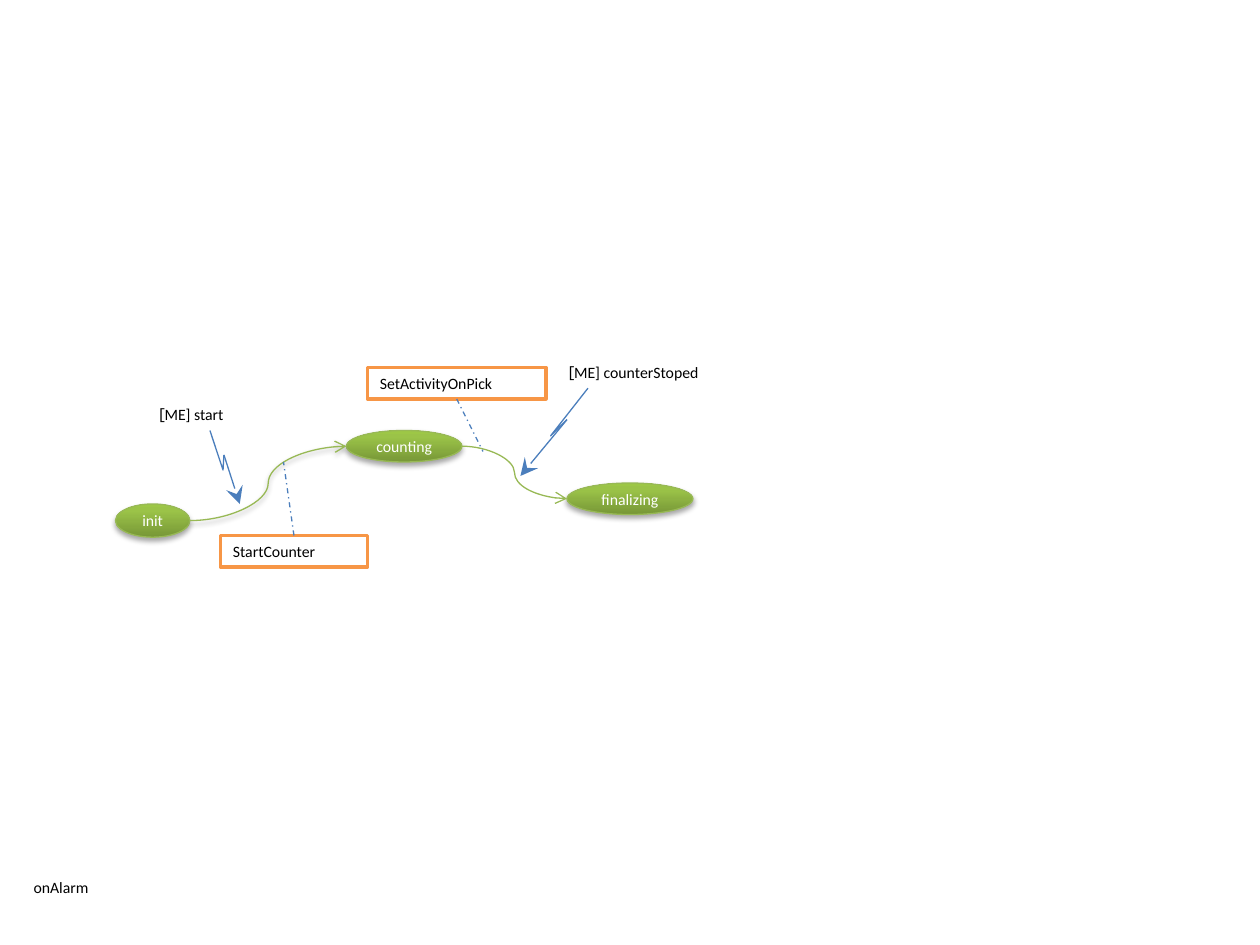
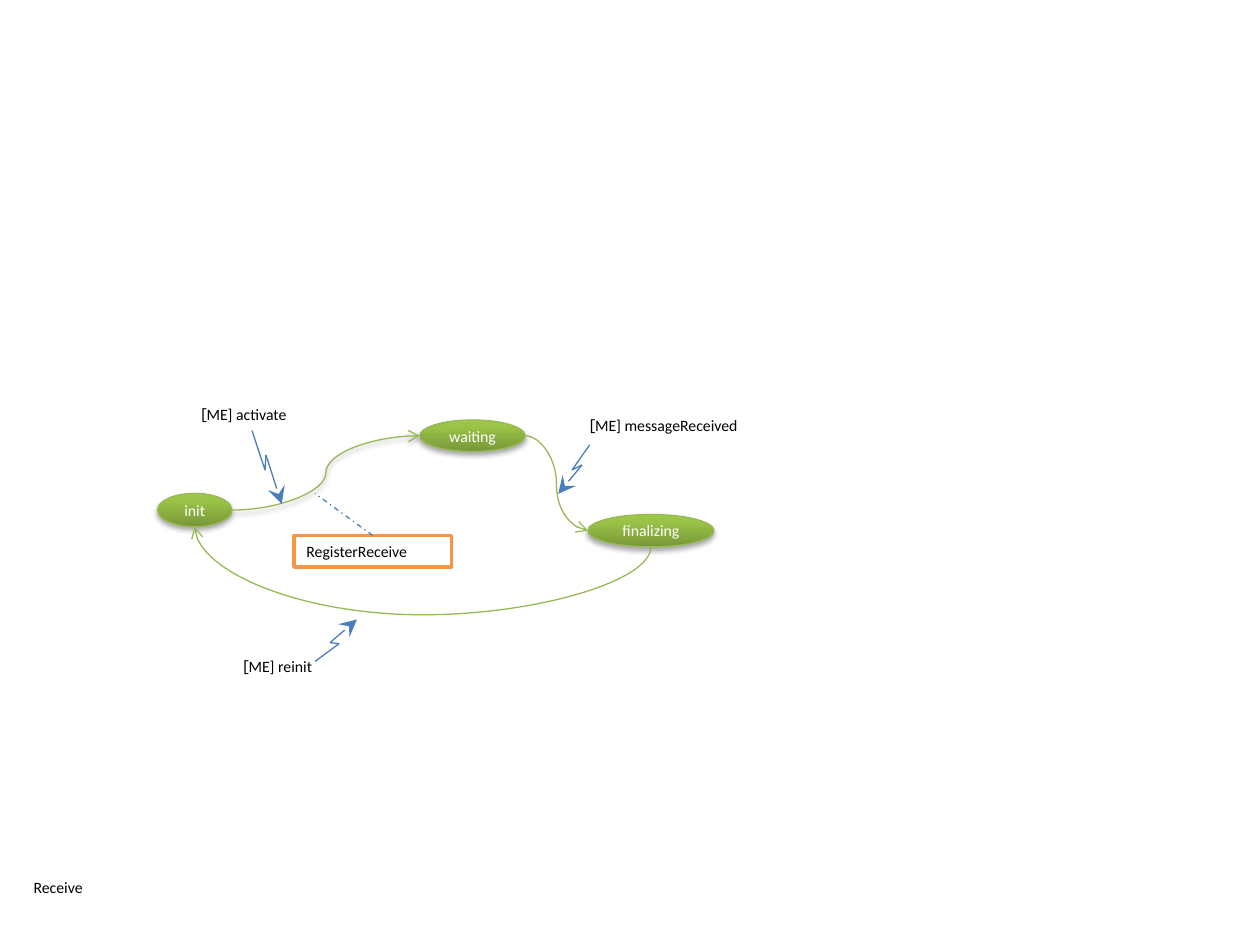
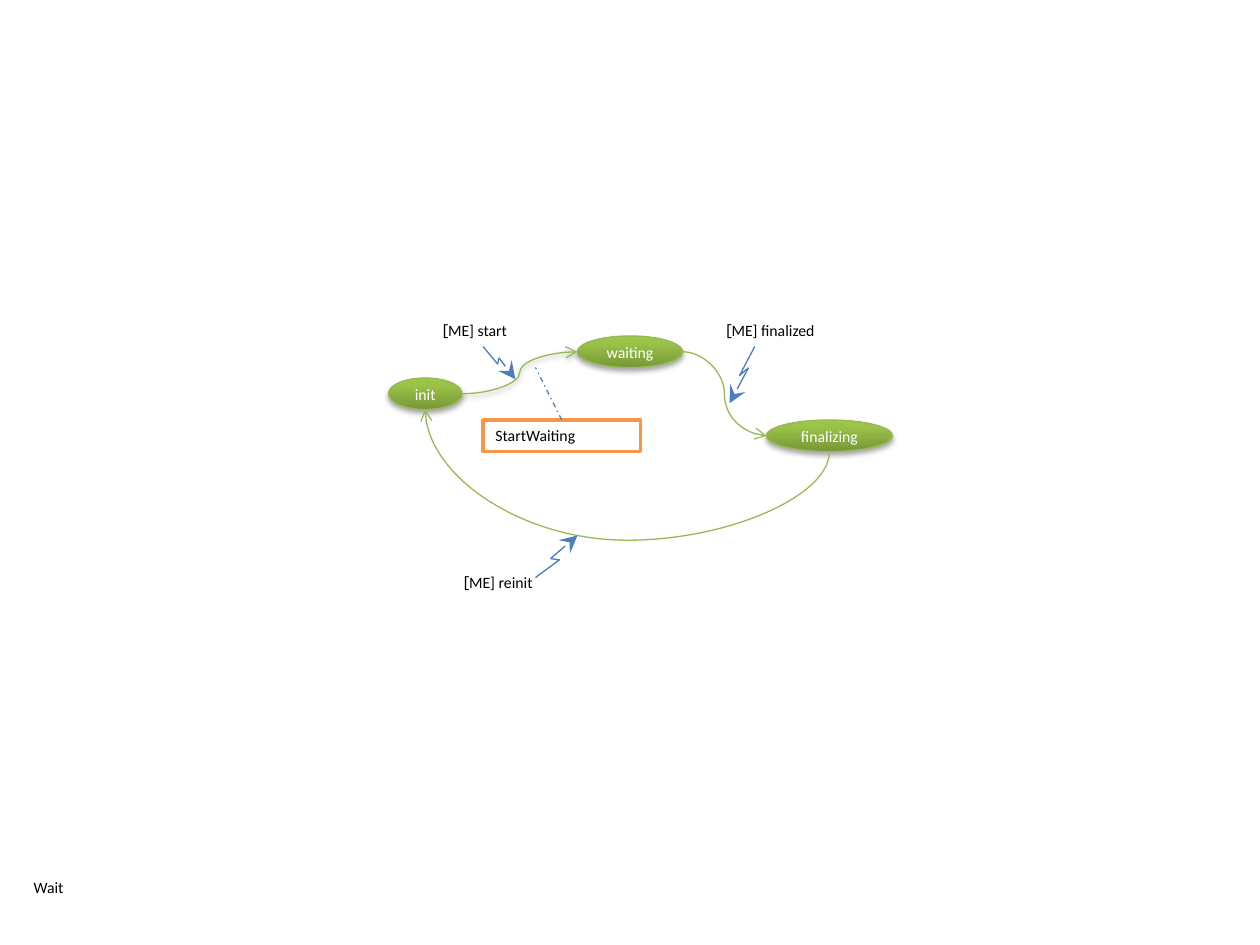
import copy
import dataclasses

import pptx
import pptx.dml.color
import pptx.enum.dml
import pptx.enum.shapes
import pptx.enum.text
import pptx.oxml
import pptx.oxml.ns
import pptx.util

Pt = pptx.util.Pt
qn = pptx.oxml.ns.qn
CONNECTOR = pptx.enum.shapes.MSO_CONNECTOR
SHAPE = pptx.enum.shapes.MSO_SHAPE
ANCHOR = pptx.enum.text.MSO_ANCHOR
ALIGN = pptx.enum.text.PP_ALIGN
FIT = pptx.enum.text.MSO_AUTO_SIZE


def rgb(value):
    return pptx.dml.color.RGBColor.from_string(value)


@dataclasses.dataclass(frozen=True)
class Theme:
    font: str = "Calibri"
    bracket_font: str = "Cabin"
    text_size: float = 9
    text: str = "000000"
    state_text: str = "FFFFFF"
    state_gradient: tuple = ((0, "779737"), (0.8, "9BC348"), (1, "9DC746"))
    transition: str = "98B955"
    message: str = "4B7EBC"
    action: str = "F79646"
    action_fill: str = "FFFFFF"
    thin: float = 0.75
    thick: float = 2
    row: float = 18
    label_width: float = 106.5


THEME = Theme()
SHADOW = (
    '<a:effectLst xmlns:a="http://schemas.openxmlformats.org/drawingml/2006/main">'
    '<a:outerShdw blurRad="39370" dist="22860" dir="5400000" rotWithShape="0">'
    '<a:srgbClr val="000000"><a:alpha val="35000"/></a:srgbClr>'
    "</a:outerShdw></a:effectLst>"
)

# Bolts run from a message label to a transition, measured from the label's corner.
LONG_BOLT = ((36, 18), (43.5, 40.6), (44, 32), (53, 60))
REINIT_BOLT = ((48, 6), (61.7, -4.1), (56.6, -4.8), (72, -18))

# Places are measured from the diagram's origin.
DIAGRAMS = [
    {
        "name": "onAlarm", "name_width": 46, "origin": (66, 204),
        "states": [("init", 0, 84, 42.5, 19), ("counting", 132, 42, 66, 18),
                   ("finalizing", 258, 72, 72, 18)],
        "messages": [
            ("counterStoped", 252, 0, ((18, 17.8), (-3.4, 45.1), (6, 35.8), (-20.6, 68))),
            ("start", 18, 24, LONG_BOLT),
        ],
        "actions": [("StartCounter", 60, 102, 84, (96, 60)),
                    ("SetActivityOnPick", 144, 6, 102, (210, 54))],
        "return_sag": None,
    },
    {
        "name": "Receive", "name_width": 43, "origin": (90, 228),
        "states": [("init", 0, 54, 42.5, 19), ("waiting", 150, 12, 60, 18),
                   ("finalizing", 246, 66, 72, 18.5)],
        "messages": [
            ("messageReceived", 240, 6, ((7, 20.2), (-3.1, 34.6), (2.6, 31.7), (-11, 48.2))),
            ("activate", 18, 0, LONG_BOLT),
            ("reinit", 42, 144, REINIT_BOLT),
        ],
        "actions": [("RegisterReceive", 78, 78, 90, (90, 54))],
        "return_sag": 38.8,
    },
    {
        "name": "Wait", "name_width": 32, "origin": (222, 180),
        "states": [("init", 0, 36, 42, 18), ("waiting", 108, 12, 60, 18),
                   ("finalizing", 216, 60, 72, 18)],
        "messages": [
            ("finalized", 186, 0, ((23.3, 18), (14.6, 34.6), (19.7, 30.2), (8.9, 50.4))),
            ("start", 24, 0, ((30, 18), (38.4, 28.1), (39.1, 24.5), (48.5, 36.7))),
            ("reinit", 36, 144, REINIT_BOLT),
        ],
        "actions": [("StartWaiting", 54, 60, 90, (84, 30))],
        "return_sag": 50.7,
    },
]


def set_format(target, values):
    for attribute, value in values.items():
        setattr(target, attribute, value)


def lengths(*values):
    return [Pt(value) for value in values]


def offset(origin, point):
    return origin[0] + point[0], origin[1] + point[1]


def style_line(line, color, width=THEME.thin):
    line.color.rgb = rgb(color)
    line.width = Pt(width)


def write(shape, runs, color=THEME.text, align=ALIGN.LEFT, **frame_format):
    """Fill a shape with one paragraph of (text, font) runs."""
    frame = shape.text_frame
    set_format(frame, {"word_wrap": True, "vertical_anchor": ANCHOR.TOP, **frame_format})
    paragraph = frame.paragraphs[0]
    paragraph.alignment = align
    for text, font in runs:
        run = paragraph.add_run()
        run.text = text
        set_format(run.font, {"name": font, "size": Pt(THEME.text_size), "bold": False})
        run.font.color.rgb = rgb(color)


def add_line(shapes, start, end, color, kind=CONNECTOR.STRAIGHT, tip=None, tip_size="med",
             dash=None, shadow=False):
    connector = shapes.add_connector(kind, *lengths(*start, *end))
    style_line(connector.line, color)
    if dash:
        connector.line.dash_style = dash
    properties = connector._element.spPr
    if tip:
        pptx.oxml.ns  # namespace helpers supply the qualified names below
        tail = properties.find(qn("a:ln")).makeelement(
            qn("a:tailEnd"), {"type": tip, "w": tip_size, "len": tip_size})
        properties.find(qn("a:ln")).append(tail)
    properties.append(pptx.oxml.parse_xml(SHADOW) if shadow
                      else properties.makeelement(qn("a:effectLst"), {}))
    return connector


def add_transition(slide, start, end, shadow=False):
    return add_line(slide.shapes, start, end, THEME.transition, CONNECTOR.CURVE,
                    tip="arrow", shadow=shadow)


def add_return(slide, start, end, sag):
    """Curve from the bottom of one state, below the diagram, to the bottom of another."""
    rise, run = start[1] - end[1], start[0] - end[0]
    middle_x, middle_y = (start[0] + end[0]) / 2, (start[1] + end[1]) / 2
    curve = add_transition(slide, (middle_x - rise / 2, middle_y - run / 2),
                           (middle_x + rise / 2, middle_y + run / 2))
    properties = curve._element.spPr
    frame = properties.find(qn("a:xfrm"))
    for attribute, value in {"rot": "5400000", "flipH": "1"}.items():
        frame.set(attribute, value)
    geometry = properties.find(qn("a:prstGeom"))
    adjustments = geometry.find(qn("a:avLst"))
    if adjustments is None:
        adjustments = geometry.makeelement(qn("a:avLst"), {})
        geometry.append(adjustments)
    bend = round(-sag / rise * 100000)
    adjustments.append(adjustments.makeelement(
        qn("a:gd"), {"name": "adj1", "fmla": f"val {bend}"}))


def add_state(slide, name, left, top, width, height):
    state = slide.shapes.add_shape(SHAPE.OVAL, *lengths(left, top, width, height))
    state.fill.gradient()
    state.fill.gradient_angle = 90
    properties = state._element.spPr
    stops = properties.find(qn("a:gradFill")).find(qn("a:gsLst"))
    stops.append(copy.deepcopy(stops[-1]))
    for stop, (position, color) in zip(state.fill.gradient_stops, THEME.state_gradient):
        stop.position = position
        stop.color.rgb = rgb(color)
    style_line(state.line, THEME.transition)
    properties.append(pptx.oxml.parse_xml(SHADOW))
    write(state, [(name, THEME.font)], THEME.state_text, ALIGN.CENTER,
          word_wrap=False, vertical_anchor=ANCHOR.MIDDLE)


def add_message(slide, name, corner, bolt):
    width = 60 if name == "reinit" else THEME.label_width
    label = slide.shapes.add_textbox(*lengths(*corner, width, THEME.row))
    write(label, [("[", THEME.bracket_font), (f"ME] {name}", THEME.font)],
          auto_size=FIT.SHAPE_TO_FIT_TEXT)
    start, notch, turn, end = (offset(corner, point) for point in bolt)
    bolt_group = slide.shapes.add_group_shape()
    outline = bolt_group.shapes.build_freeform(*lengths(*start))
    outline.add_line_segments([lengths(*notch), lengths(*turn)], close=False)
    zigzag = outline.convert_to_shape()
    zigzag.fill.background()
    zigzag.shadow.inherit = False
    style_line(zigzag.line, THEME.message)
    add_line(bolt_group.shapes, turn, end, THEME.message, tip="stealth", tip_size="lg")


def add_action(slide, name, left, top, width, target):
    """Place an action box and tie its nearer edge to a transition."""
    action = slide.shapes.add_shape(SHAPE.RECTANGLE, *lengths(left, top, width, THEME.row))
    action.shadow.inherit = False
    action.fill.solid()
    action.fill.fore_color.rgb = rgb(THEME.action_fill)
    style_line(action.line, THEME.action, THEME.thick)
    write(action, [(name, THEME.font)], auto_size=FIT.SHAPE_TO_FIT_TEXT)
    edge = top + THEME.row if target[1] > top else top
    add_line(slide.shapes, (left + width / 2, edge), target, THEME.message,
             dash=pptx.enum.dml.MSO_LINE.DASH_DOT)


def add_name(slide, name, width):
    title = slide.shapes.title
    set_format(title, dict(zip(("left", "top", "width", "height"),
                               lengths(12, 498, width, THEME.row))))
    write(title, [(name, THEME.font)], word_wrap=False, auto_size=FIT.SHAPE_TO_FIT_TEXT)


def add_diagram(slide, diagram):
    origin = diagram["origin"]
    states = [(name, *offset(origin, (left, top)), width, height)
              for name, left, top, width, height in diagram["states"]]
    for state in states:
        add_state(slide, *state)
    for index, (source, target) in enumerate(zip(states, states[1:])):
        _, left, top, width, height = source
        _, next_left, next_top, _, next_height = target
        add_transition(slide, (left + width, top + height / 2),
                       (next_left, next_top + next_height / 2), shadow=index == 0)
    if diagram["return_sag"]:
        bottoms = [(left + width / 2, top + height) for _, left, top, width, height in states]
        add_return(slide, bottoms[-1], bottoms[0], diagram["return_sag"])
    for name, left, top, bolt in diagram["messages"]:
        add_message(slide, name, offset(origin, (left, top)), bolt)
    for name, left, top, width, target in diagram["actions"]:
        add_action(slide, name, *offset(origin, (left, top)), width, offset(origin, target))


def main():
    deck = pptx.Presentation()
    set_format(deck, {"slide_width": Pt(720), "slide_height": Pt(540)})
    title_only = deck.slide_layouts[5]
    for diagram in DIAGRAMS:
        slide = deck.slides.add_slide(title_only)
        add_diagram(slide, diagram)
        add_name(slide, diagram["name"], diagram["name_width"])
    deck.save("out.pptx")


if __name__ == "__main__":
    main()
